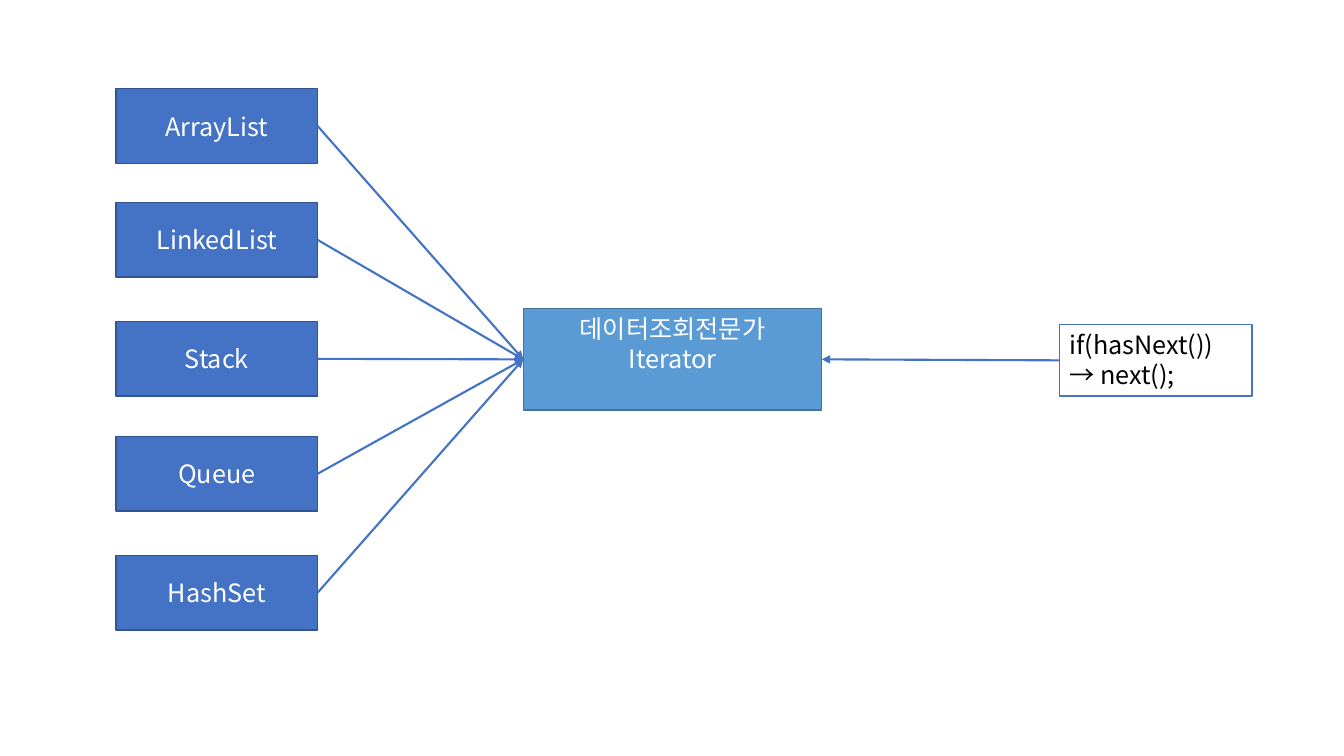
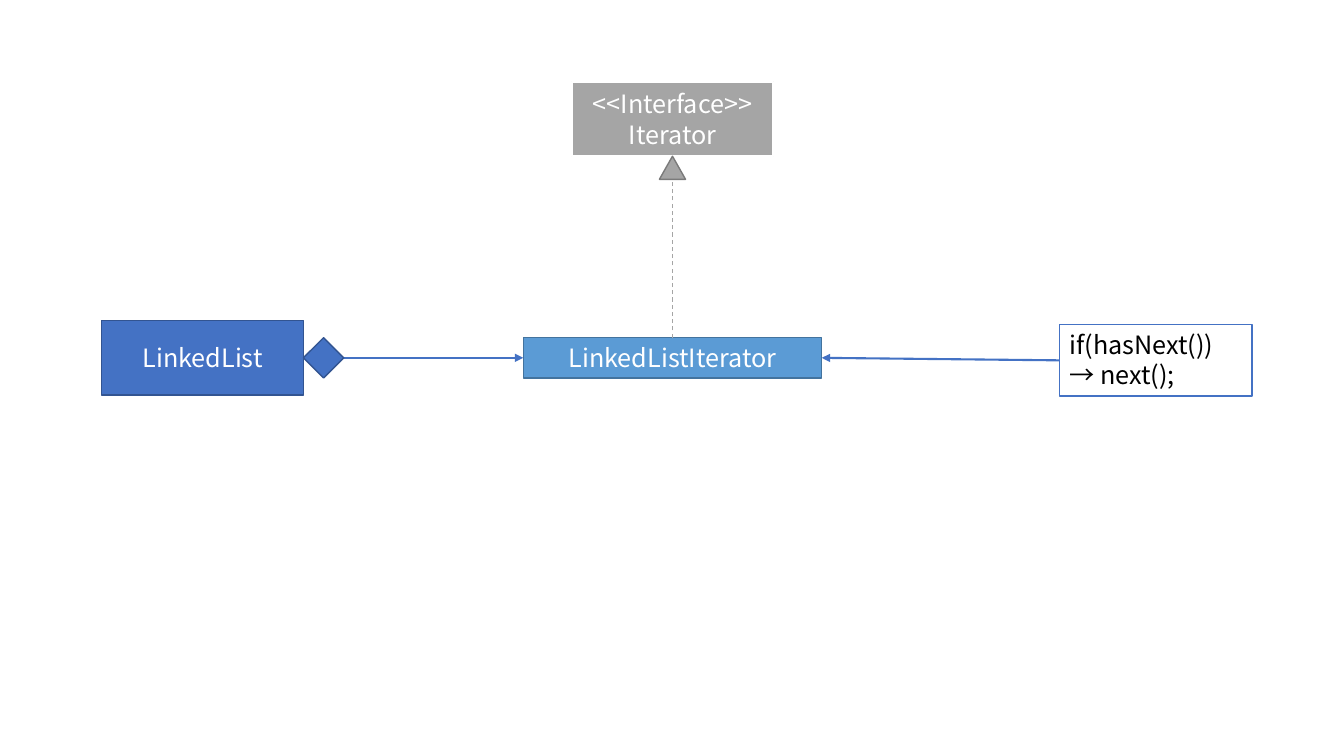
from lxml.etree import SubElement
from pptx import Presentation
from pptx.dml.color import RGBColor
from pptx.enum.dml import MSO_LINE_DASH_STYLE as Dash
from pptx.enum.shapes import MSO_CONNECTOR as Connector, MSO_SHAPE as Shape
from pptx.enum.text import MSO_ANCHOR as Anchor, PP_ALIGN as Align
from pptx.oxml.ns import qn
from pptx.util import Inches, Pt

FONT = "Noto Sans CJK KR"
COLORS = {
    "blue": "4472C4", "navy": "325491",
    "sky": "5B9BD5", "steel": "43739E",
    "gray": "A5A5A5", "dark gray": "7A7A7A",
    "white": "FFFFFF", "black": "000000",
}
TOP, LEFT, BOTTOM, RIGHT = range(4)  # connection sites of a rectangle


def color(name):
    return RGBColor.from_string(COLORS[name])


def add_figure(slide, kind, bounds, fill, outline, weight=1):
    figure = slide.shapes.add_shape(kind, *map(Inches, bounds))
    figure.shadow.inherit = False
    figure.fill.solid()
    figure.fill.fore_color.rgb = color(fill)
    figure.line.color.rgb = color(outline)
    figure.line.width = Pt(weight)
    return figure


def add_box(slide, lines, bounds, fill, outline, weight=1, ink="white",
            align=Align.CENTER, anchor=Anchor.MIDDLE):
    """Add a rectangle with one paragraph for each line of text."""
    box = add_figure(slide, Shape.RECTANGLE, bounds, fill, outline, weight)
    frame = box.text_frame
    frame.word_wrap = True
    frame.vertical_anchor = anchor
    for index, line in enumerate(lines):
        paragraph = frame.add_paragraph() if index else frame.paragraphs[0]
        paragraph.alignment = align
        paragraph.line_spacing = Pt(21.6)
        run = paragraph.add_run()
        run.text = line
        run.font.size = Pt(18)
        run.font.color.rgb = color(ink)
        run.font.name = FONT
        SubElement(run.font._element, qn("a:ea"), typeface=FONT)
    return box


def add_collection(slide, name, left, top):
    return add_box(slide, [name], (left, top, 2, 0.74), "blue", "navy")


def add_iterator(slide, lines, top, height):
    return add_box(slide, lines, (5.19, top, 2.96, height), "sky", "steel",
                   anchor=Anchor.TOP)


def add_caller(slide):
    return add_box(slide, ["if(hasNext())", "→ next();"],
                   (10.51, 3.22, 1.91, 0.71), "white", "blue", ink="black",
                   align=Align.LEFT, anchor=Anchor.TOP)


def connect(slide, start, start_site, end, end_site, stroke, weight):
    """Join two boxes with a straight line glued to their edges."""
    line = slide.shapes.add_connector(Connector.STRAIGHT, 0, 0, 0, 0)
    line.begin_connect(start, start_site)
    line.end_connect(end, end_site)
    line.line.color.rgb = color(stroke)
    line.line.width = Pt(weight)
    SubElement(line._element.spPr, qn("a:effectLst"))
    return line


def add_arrow(slide, start, start_site, end, end_site):
    arrow = connect(slide, start, start_site, end, end_site, "blue", 1.5)
    SubElement(arrow.line._get_or_add_ln(), qn("a:tailEnd"), type="triangle")


def build_overview(slide):
    collection_tops = {"ArrayList": 0.88, "LinkedList": 2.01, "Stack": 3.19,
                       "Queue": 4.33, "HashSet": 5.51}
    collections = [add_collection(slide, name, 1.15, top)
                   for name, top in collection_tops.items()]
    caller = add_caller(slide)
    iterator = add_iterator(slide, ["데이터조회전문가", "Iterator"], 3.06, 1.01)
    add_arrow(slide, caller, LEFT, iterator, RIGHT)
    for collection in collections:
        add_arrow(slide, collection, RIGHT, iterator, LEFT)


def build_class_diagram(slide):
    linked_list = add_collection(slide, "LinkedList", 1.01, 3.18)
    caller = add_caller(slide)
    iterator = add_iterator(slide, ["LinkedListIterator"], 3.35, 0.4)
    add_arrow(slide, caller, LEFT, iterator, RIGHT)
    add_arrow(slide, linked_list, RIGHT, iterator, LEFT)
    interface = add_box(slide, ["<<Interface>>", "Iterator"],
                        (5.67, 0.81, 2, 0.74), "gray", "white", 1.5)
    realization = connect(slide, iterator, TOP, interface, BOTTOM, "gray", 0.75)
    realization.line.dash_style = Dash.DASH
    add_figure(slide, Shape.ISOSCELES_TRIANGLE, (6.54, 1.55, 0.26, 0.23),
               "gray", "dark gray")
    add_figure(slide, Shape.DIAMOND, (3.01, 3.35, 0.4, 0.4), "blue", "navy")


def main():
    deck = Presentation()
    deck.slide_width = Inches(13.33)
    deck.slide_height = Inches(7.5)
    for build in (build_overview, build_class_diagram):
        build(deck.slides.add_slide(deck.slide_layouts[6]))
    deck.save("out.pptx")


if __name__ == "__main__":
    main()
